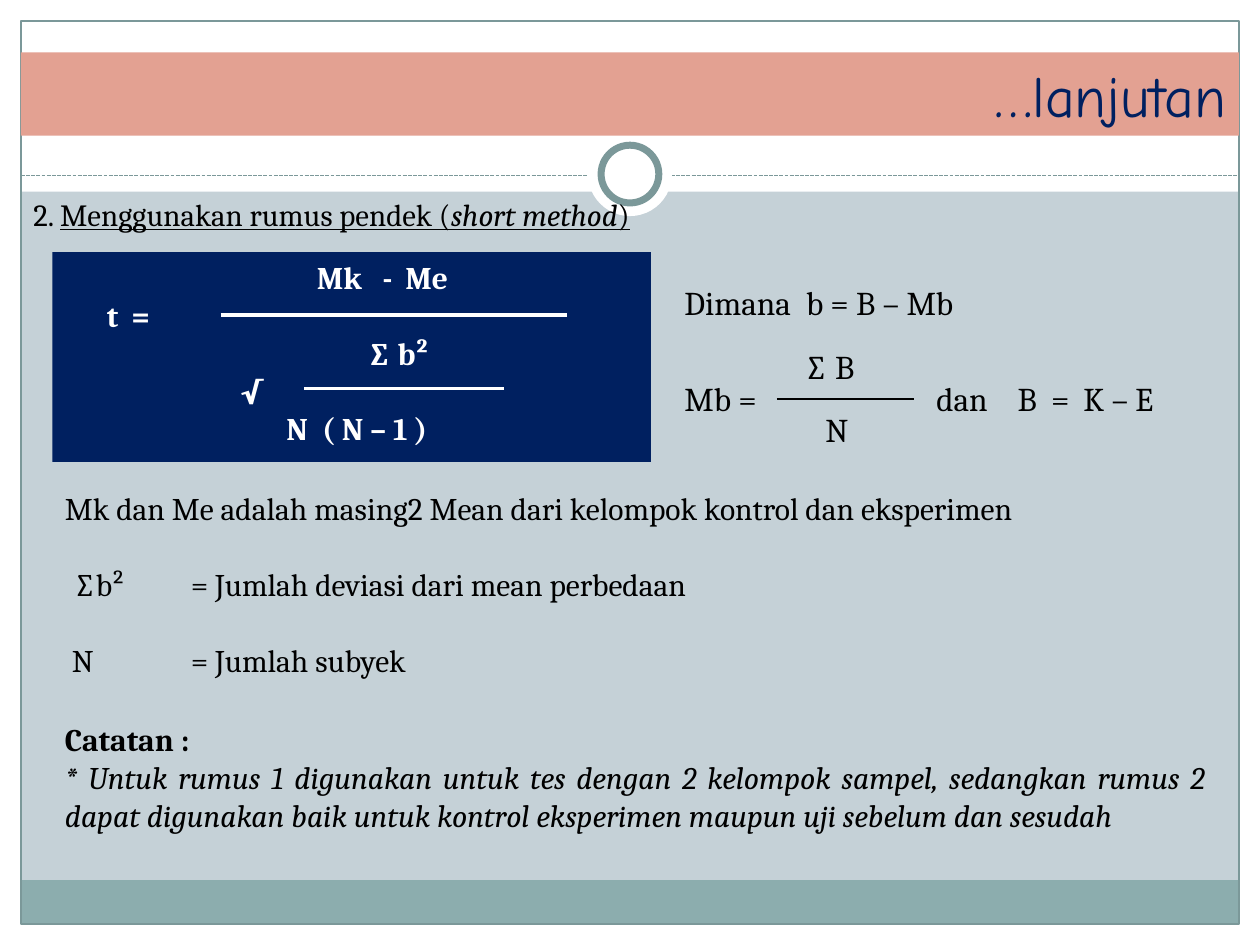
from lxml.etree import SubElement
from pptx import Presentation
from pptx.dml.color import RGBColor
from pptx.enum.dml import MSO_LINE
from pptx.enum.shapes import MSO_CONNECTOR, MSO_SHAPE
from pptx.enum.text import MSO_ANCHOR, PP_ALIGN
from pptx.oxml.ns import qn
from pptx.util import Pt

COLORS = {
    "background": "C5D1D7", "white": "FFFFFF", "teal": "8CADAE",
    "frame": "7B9899", "salmon": "E3A192", "navy": "002060", "black": "000000",
}
WIDTH, HEIGHT, MARGIN = 720, 540, 12

# Content: each paragraph is (runs, tab stops, space before);
# each run is (text, style letters: b bold, i italic, u underline)
TITLE = [([("…lanjutan", "")], [], 0)]
HEADING = [([("2. ", ""), ("Menggunakan rumus pendek (", "u"),
             ("short method", "ui"), (")", "u")], [], 0)]
FORMULA = [
    ([("\tMk\t-\tMe", "b")], [144, 181.5, 194.5], 0),
    ([("\tt\t=", "b")], [24, 38], 0),
    ([("\t∑ b²", "b")], [173], 0),
    ([("\t√", "b")], [100], 0),
    ([("\tN\t( N – 1 )", "b")], [126.5, 147], 0),
]
WHERE = [
    ([("Dimana\tb = B – Mb", "")], [69.5], 0),
    ([("\t∑ B", "")], [68.5], 18.3),
    ([("Mb =\tdan\tB\t=\tK – E", "")], [144, 190.5, 209.5, 228], 0),
    ([("\tN", "")], [80.5], 0),
]
DEFINITIONS = [
    ([("Mk dan Me adalah masing2 Mean dari kelompok kontrol dan eksperimen", "")], [], 0),
    ([("\t∑b²\t= Jumlah deviasi dari mean perbedaan", "")], [5, 72], 21.7),
    ([("\tN\t= Jumlah subyek", "")], [4, 72], 21.7),
]
NOTE = [
    ([("Catatan :", "b")], [], 0),
    ([("* Untuk rumus 1 digunakan untuk tes dengan 2 kelompok sampel, sedangkan "
       "rumus 2 dapat digunakan baik untuk kontrol eksperimen maupun uji sebelum "
       "dan sesudah", "i")], [], 0),
]

# Frame parts: preset, left, top, width, height, fill, line width
FRAME = [
    (MSO_SHAPE.RECTANGLE, 0, HEIGHT - MARGIN, WIDTH, MARGIN, "white", 0),
    (MSO_SHAPE.RECTANGLE, 0, 0, WIDTH, 109.5, "white", 0),
    (MSO_SHAPE.RECTANGLE, 0, 0, MARGIN, HEIGHT, "white", 0),
    (MSO_SHAPE.RECTANGLE, WIDTH - MARGIN, 0, MARGIN, HEIGHT, "white", 0),
    (MSO_SHAPE.RECTANGLE, MARGIN, 503, WIDTH - 2 * MARGIN, 25, "teal", 0),
    (MSO_SHAPE.RECTANGLE, MARGIN, MARGIN, WIDTH - 2 * MARGIN,
     HEIGHT - 2 * MARGIN, None, 0.75),
]
RING = [
    (MSO_SHAPE.OVAL, 336, 75.5, 48, 48, "white", 0),
    (MSO_SHAPE.OVAL, 343.5, 83, 33, 33, "white", 4),
]

# Text boxes: paragraphs, left, top, width, height, size, line spacing, alignment
TEXT_BOXES = [
    (HEADING, 12, 114, 432, 29.5, 17.6, 0.7, PP_ALIGN.LEFT),
    (WHERE, 384, 162, 318, 102, 19, 0.8, PP_ALIGN.LEFT),
    (DEFINITIONS, 30, 276, 666, 120, 18, None, PP_ALIGN.LEFT),
    (NOTE, 30, 408, 666, 96, 18, None, PP_ALIGN.JUSTIFY),
]

# Fraction bars: left, right, height on the slide, colour, width
FRACTION_BARS = [
    (126, 324, 180, "white", 2.25),
    (174, 288, 222, "white", 2.25),
    (444, 522, 228, "black", 0.75),
]


def color(name):
    return RGBColor.from_string(COLORS[name])


def add_shape(slide, preset, left, top, width, height, fill, line=0):
    shape = slide.shapes.add_shape(preset, Pt(left), Pt(top), Pt(width), Pt(height))
    shape.shadow.inherit = False
    if fill:
        shape.fill.solid()
        shape.fill.fore_color.rgb = color(fill)
    else:
        shape.fill.background()
    if line:
        shape.line.color.rgb = color("frame")
        shape.line.width = Pt(line)
    else:
        shape.line.fill.background()
    return shape


def add_line(slide, left, right, top, line_color, width):
    line = slide.shapes.add_connector(
        MSO_CONNECTOR.STRAIGHT, Pt(left), Pt(top), Pt(right), Pt(top))
    line.line.color.rgb = color(line_color)
    line.line.width = Pt(width)
    SubElement(line._element.spPr, qn("a:effectLst"))
    return line


def write(shape, paragraphs, size, text_color, font="Cambria",
          spacing=None, align=PP_ALIGN.LEFT, anchor=MSO_ANCHOR.TOP):
    frame = shape.text_frame
    frame.word_wrap = True
    frame.vertical_anchor = anchor
    for index, (runs, tabs, space_before) in enumerate(paragraphs):
        paragraph = frame.add_paragraph() if index else frame.paragraphs[0]
        paragraph.alignment = align
        if tabs:
            tab_list = SubElement(paragraph._p.get_or_add_pPr(), qn("a:tabLst"))
            for stop in tabs:
                SubElement(tab_list, qn("a:tab"), pos=str(Pt(stop)), algn="l")
        if spacing:
            paragraph.line_spacing = spacing
        if space_before:
            paragraph.space_before = Pt(space_before)
        for text, style in runs:
            run = paragraph.add_run()
            run.text = text
            run.font.name = font
            run.font.size = Pt(size)
            run.font.color.rgb = color(text_color)
            run.font.bold = "b" in style
            run.font.italic = "i" in style
            run.font.underline = "u" in style


def main():
    presentation = Presentation()
    presentation.slide_width, presentation.slide_height = Pt(WIDTH), Pt(HEIGHT)
    slide = presentation.slides.add_slide(presentation.slide_layouts[6])
    slide.background.fill.solid()
    slide.background.fill.fore_color.rgb = color("background")

    # Frame, dashed rule and ring
    for part in FRAME:
        add_shape(slide, *part)
    rule = add_line(slide, MARGIN, WIDTH - MARGIN, 100.5, "frame", 0.75)
    rule.line.dash_style = MSO_LINE.SQUARE_DOT
    for part in RING:
        add_shape(slide, *part)

    # Title band
    band = add_shape(slide, MSO_SHAPE.RECTANGLE, MARGIN, 30, 696, 47.5, "salmon")
    write(band, TITLE, 33, "navy", font="Comic Neue",
          align=PP_ALIGN.RIGHT, anchor=MSO_ANCHOR.MIDDLE)

    # Formula panel
    panel = add_shape(slide, MSO_SHAPE.RECTANGLE, 30, 144, 342, 120, "navy")
    write(panel, FORMULA, 18, "white")

    # Explanations
    for paragraphs, left, top, width, height, size, spacing, align in TEXT_BOXES:
        box = slide.shapes.add_textbox(Pt(left), Pt(top), Pt(width), Pt(height))
        write(box, paragraphs, size, "black", spacing=spacing, align=align)

    # Fraction bars
    for bar in FRACTION_BARS:
        add_line(slide, *bar)

    presentation.save("out.pptx")


if __name__ == "__main__":
    main()
